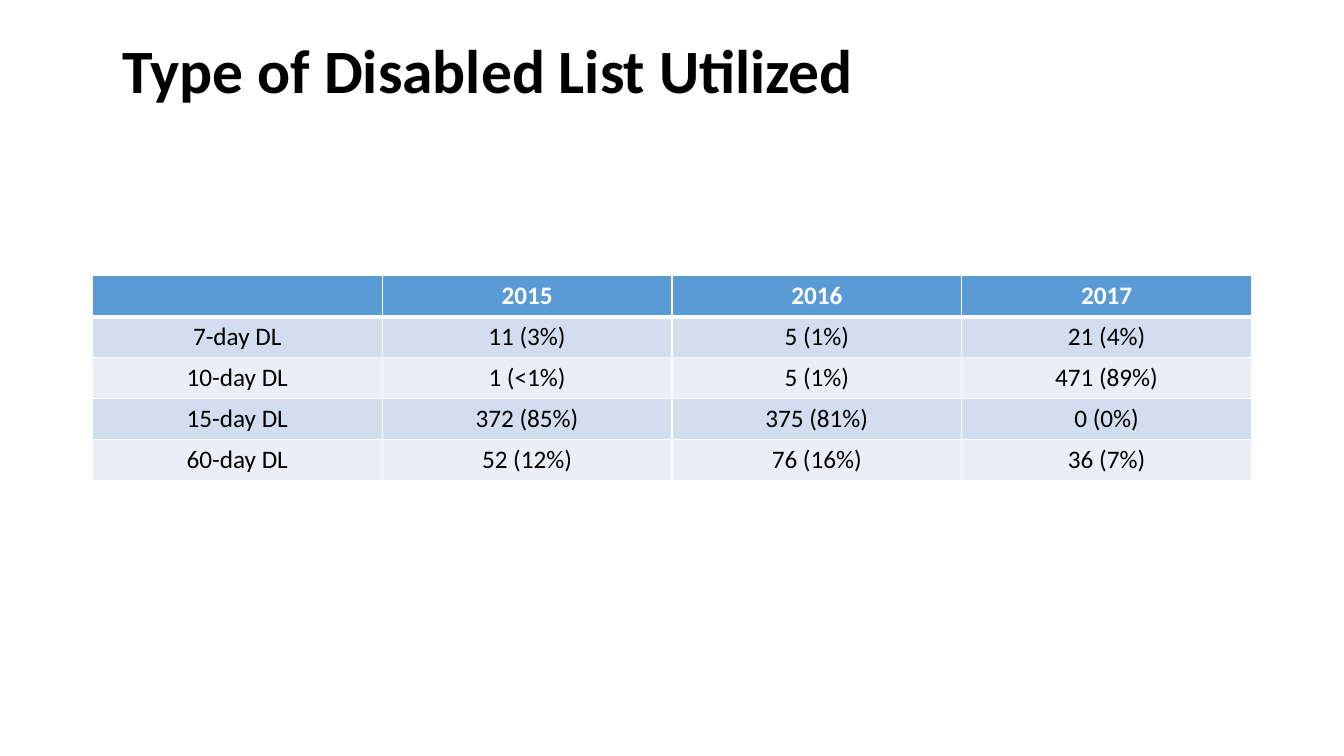
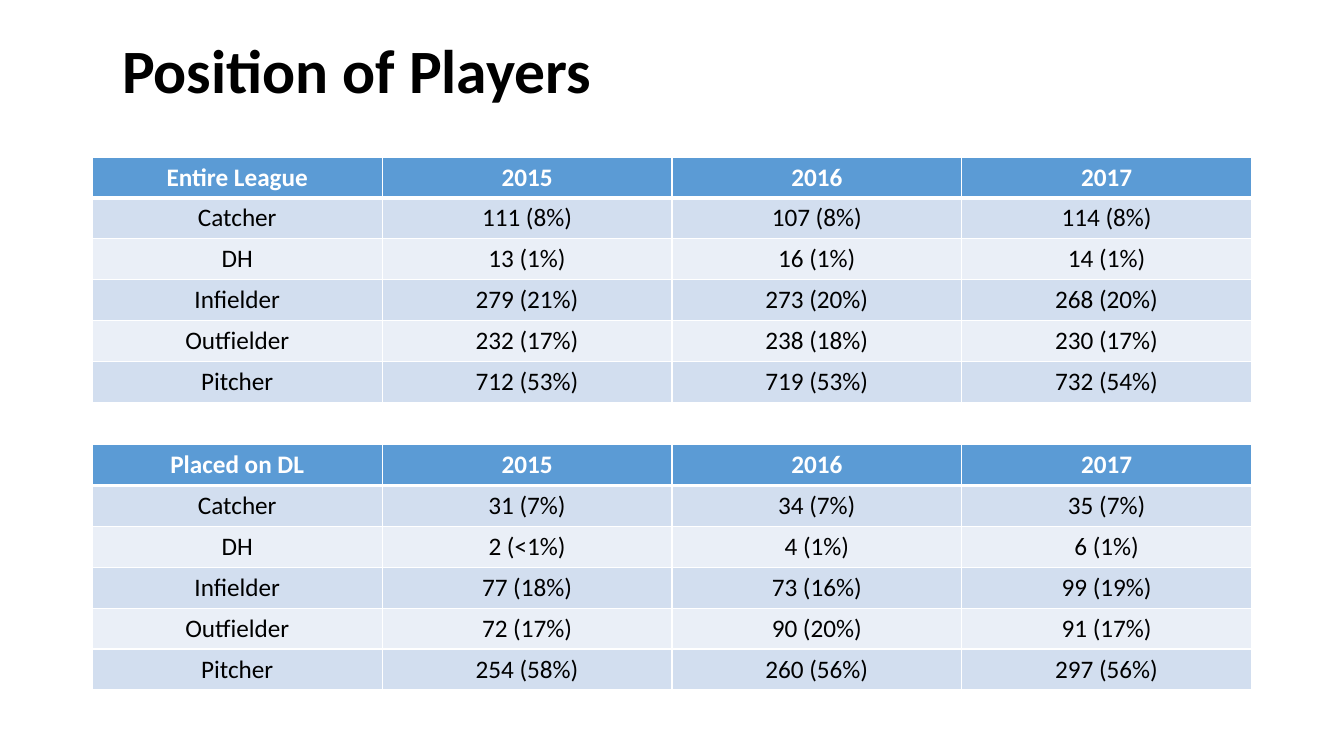
from lxml.etree import SubElement
from pptx import Presentation
from pptx.dml.color import RGBColor
from pptx.enum.text import MSO_ANCHOR, MSO_AUTO_SIZE, PP_ALIGN
from pptx.oxml.ns import qn
from pptx.util import Pt

# Shared style
FONT = "Calibri"
BLACK = RGBColor(0x00, 0x00, 0x00)
WHITE = RGBColor(0xFF, 0xFF, 0xFF)
HEADER_BLUE = RGBColor(0x5B, 0x9B, 0xD5)
BANDS = (RGBColor(0xD2, 0xDE, 0xEF), RGBColor(0xEA, 0xEF, 0xF7))

TITLE_BOX = (Pt(80), Pt(0), Pt(828), Pt(104.4))
TABLE_LEFT = 66
TABLE_WIDTH = 828
ROW_HEIGHT = 29.2
YEARS = ("2015", "2016", "2017")

# Content: each table has its top, its corner heading and its rows
SLIDES = [
    {
        "title": "Type of Disabled List Utilized",
        "tables": [
            (197, "", [
                ("7-day DL", "11 (3%)", "5 (1%)", "21 (4%)"),
                ("10-day DL", "1 (<1%)", "5 (1%)", "471 (89%)"),
                ("15-day DL", "372 (85%)", "375 (81%)", "0 (0%)"),
                ("60-day DL", "52 (12%)", "76 (16%)", "36 (7%)"),
            ]),
        ],
    },
    {
        "title": "Position of Players",
        "tables": [
            (112.2, "Entire League", [
                ("Catcher", "111 (8%)", "107 (8%)", "114 (8%)"),
                ("DH", "13 (1%)", "16 (1%)", "14 (1%)"),
                ("Infielder", "279 (21%)", "273 (20%)", "268 (20%)"),
                ("Outfielder", "232 (17%)", "238 (18%)", "230 (17%)"),
                ("Pitcher", "712 (53%)", "719 (53%)", "732 (54%)"),
            ]),
            (317.6, "Placed on DL", [
                ("Catcher", "31 (7%)", "34 (7%)", "35 (7%)"),
                ("DH", "2 (<1%)", "4 (1%)", "6 (1%)"),
                ("Infielder", "77 (18%)", "73 (16%)", "99 (19%)"),
                ("Outfielder", "72 (17%)", "90 (20%)", "91 (17%)"),
                ("Pitcher", "254 (58%)", "260 (56%)", "297 (56%)"),
            ]),
        ],
    },
]


def style_font(paragraph, size, color, bold):
    paragraph.font.name = FONT
    paragraph.font.size = Pt(size)
    paragraph.font.color.rgb = color
    paragraph.font.bold = bold


def add_title(slide, text):
    title = slide.shapes.title
    title.left, title.top, title.width, title.height = TITLE_BOX
    frame = title.text_frame
    frame.text = text
    frame.auto_size = MSO_AUTO_SIZE.NONE
    frame.vertical_anchor = MSO_ANCHOR.MIDDLE
    paragraph = frame.paragraphs[0]
    paragraph.alignment = PP_ALIGN.LEFT
    paragraph.line_spacing = 0.9
    style_font(paragraph, 44, BLACK, True)


def set_borders(cell, widths):
    """Draw white borders; widths maps each side (L, R, T, B) to points."""
    properties = cell._tc.get_or_add_tcPr()
    for side, width in widths.items():
        line = SubElement(properties, qn(f"a:ln{side}"), w=str(Pt(width)))
        fill = SubElement(line, qn("a:solidFill"))
        SubElement(fill, qn("a:srgbClr"), val=str(WHITE))


def style_cell(cell, text, row):
    is_header = row == 0
    # Borders come before the fill in the cell properties
    set_borders(cell, {"L": 1, "R": 1,
                       "T": 3 if row == 1 else 1,
                       "B": 3 if is_header else 1})
    cell.fill.solid()
    cell.fill.fore_color.rgb = HEADER_BLUE if is_header else BANDS[(row - 1) % 2]
    cell.text = text
    paragraph = cell.text_frame.paragraphs[0]
    paragraph.alignment = PP_ALIGN.CENTER
    style_font(paragraph, 18, WHITE if is_header else BLACK, is_header)


def add_data_table(slide, top, heading, body):
    rows = [(heading, *YEARS), *body]
    table = slide.shapes.add_table(
        len(rows), len(rows[0]), Pt(TABLE_LEFT), Pt(top),
        Pt(TABLE_WIDTH), Pt(ROW_HEIGHT * len(rows))).table
    for row, texts in enumerate(rows):
        table.rows[row].height = Pt(ROW_HEIGHT)
        for column, text in enumerate(texts):
            style_cell(table.cell(row, column), text, row)


def main():
    presentation = Presentation()
    presentation.slide_width = Pt(960)
    presentation.slide_height = Pt(540)
    title_only = presentation.slide_layouts[5]
    for content in SLIDES:
        slide = presentation.slides.add_slide(title_only)
        add_title(slide, content["title"])
        for top, heading, body in content["tables"]:
            add_data_table(slide, top, heading, body)
    presentation.save("out.pptx")


if __name__ == "__main__":
    main()
